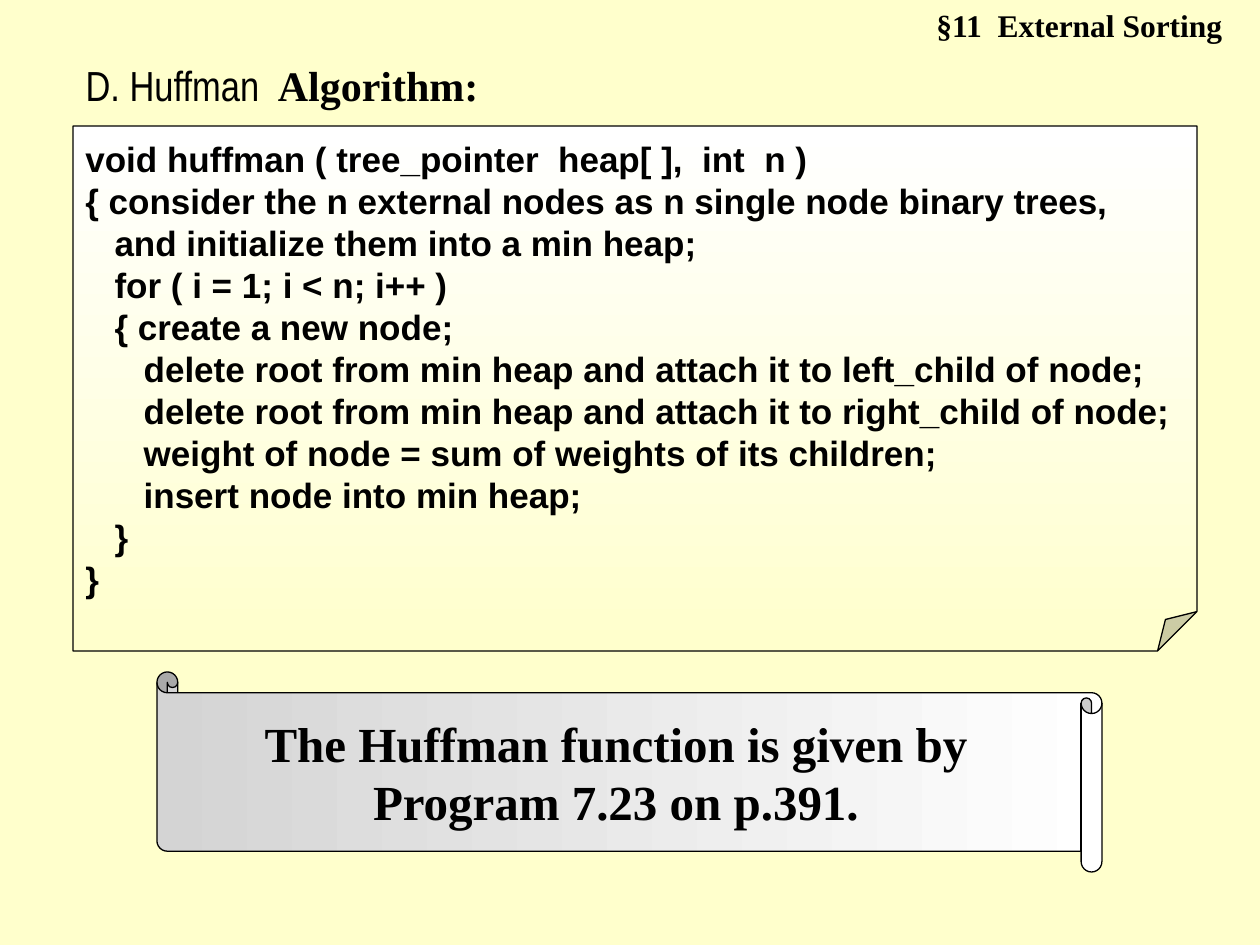
"""Build the slide on the Huffman algorithm with its pseudocode."""
from dataclasses import dataclass

from pptx import Presentation
from pptx.dml.color import RGBColor
from pptx.enum.shapes import MSO_SHAPE as Preset
from pptx.enum.text import MSO_ANCHOR as Anchor, MSO_AUTO_SIZE as AutoSize, PP_ALIGN as Align
from pptx.util import Emu, Pt

EMU_PER_PX = 914400 / 126
BLACK = RGBColor(0x00, 0x00, 0x00)
WHITE = RGBColor(0xFF, 0xFF, 0xFF)
CREAM = RGBColor(0xFF, 0xFF, 0xCC)
SILVER = RGBColor(0xD4, 0xD4, 0xD4)
SERIF = "Times New Roman"

CODE = """\
void huffman ( tree_pointer  heap[ ],  int  n )
{ consider the n external nodes as n single node binary trees,
   and initialize them into a min heap;
   for ( i = 1; i < n; i++ )
   { create a new node;
      delete root from min heap and attach it to left_child of node;
      delete root from min heap and attach it to right_child of node;
      weight of node = sum of weights of its children;
      insert node into min heap;
   }
}"""


@dataclass(frozen=True)
class Box:
    left: int
    top: int
    width: int
    height: int

    def emu(self) -> list[Emu]:
        return [px(n) for n in (self.left, self.top, self.width, self.height)]


@dataclass(frozen=True)
class Panel:
    preset: Preset
    box: Box
    adjustment: int
    colours: tuple[RGBColor, RGBColor]
    angle: int
    lines: tuple[str, ...]
    font: str
    size: int
    align: Align
    right_inset: int = 13
    flipped: bool = False


PANELS = (
    Panel(Preset.FOLDED_CORNER, Box(73, 126, 1124, 525), 7500, (WHITE, CREAM), 270,
          tuple(CODE.split("\n")), "Arial", 20, Align.LEFT),
    Panel(Preset.HORIZONTAL_SCROLL, Box(157, 672, 945, 200), 10400, (SILVER, WHITE), 180,
          ("The Huffman function is given by", "Program 7.23 on p.391."),
          SERIF, 28, Align.CENTER, right_inset=29, flipped=True),
)


def px(length: int) -> Emu:
    return Emu(round(length * EMU_PER_PX))


def style(font, name: str, size: int, bold: bool = True) -> None:
    font.name, font.size, font.bold = name, Pt(size), bold
    font.color.rgb = BLACK


def draw_section(slide) -> None:
    frame = slide.shapes.add_textbox(*Box(924, 0, 335, 50).emu()).text_frame
    frame.word_wrap = True
    section = frame.paragraphs[0]
    section.text = "§11  External Sorting"
    style(section.font, SERIF, 18)


def draw_heading(slide) -> None:
    heading = slide.shapes.title
    heading.left, heading.top, heading.width, heading.height = Box(73, 53, 599, 63).emu()
    frame = heading.text_frame
    frame.word_wrap = True
    frame.auto_size = AutoSize.NONE
    frame.vertical_anchor = Anchor.TOP
    line = frame.paragraphs[0]
    line.alignment = Align.LEFT
    line.space_before = Pt(0)
    for words, font, bold in (("D. Huffman", "Arial Narrow", False), ("  Algorithm:", SERIF, True)):
        run = line.add_run()
        run.text = words
        style(run.font, font, 24, bold)


def draw_panel(slide, panel: Panel) -> None:
    shape = slide.shapes.add_shape(panel.preset, *panel.box.emu())
    shape.shadow.inherit = False
    properties = shape._element.spPr
    properties.prstGeom.rewrite_guides([("adj", panel.adjustment)])
    if panel.flipped:
        properties.xfrm.set("flipH", "1")
    shape.fill.gradient()
    shape.fill.gradient_angle = panel.angle
    for stop, colour, position in zip(shape.fill.gradient_stops, panel.colours, (0, 1)):
        stop.color.rgb, stop.position = colour, position
    shape.line.color.rgb = BLACK
    shape.line.width = Pt(0.75)
    frame = shape.text_frame
    frame.word_wrap = False
    frame.vertical_anchor = Anchor.MIDDLE
    frame.margin_right = px(panel.right_inset)
    for number, words in enumerate(panel.lines):
        line = frame.add_paragraph() if number else frame.paragraphs[0]
        line.text = words
        line.alignment = panel.align
        style(line.font, panel.font, panel.size)


def main() -> None:
    deck = Presentation()
    deck.slide_width, deck.slide_height = px(1260), px(945)
    slide = deck.slides.add_slide(deck.slide_layouts[5])
    slide.background.fill.solid()
    slide.background.fill.fore_color.rgb = CREAM
    draw_section(slide)
    draw_heading(slide)
    for panel in PANELS:
        draw_panel(slide, panel)
    deck.save("out.pptx")


if __name__ == "__main__":
    main()
